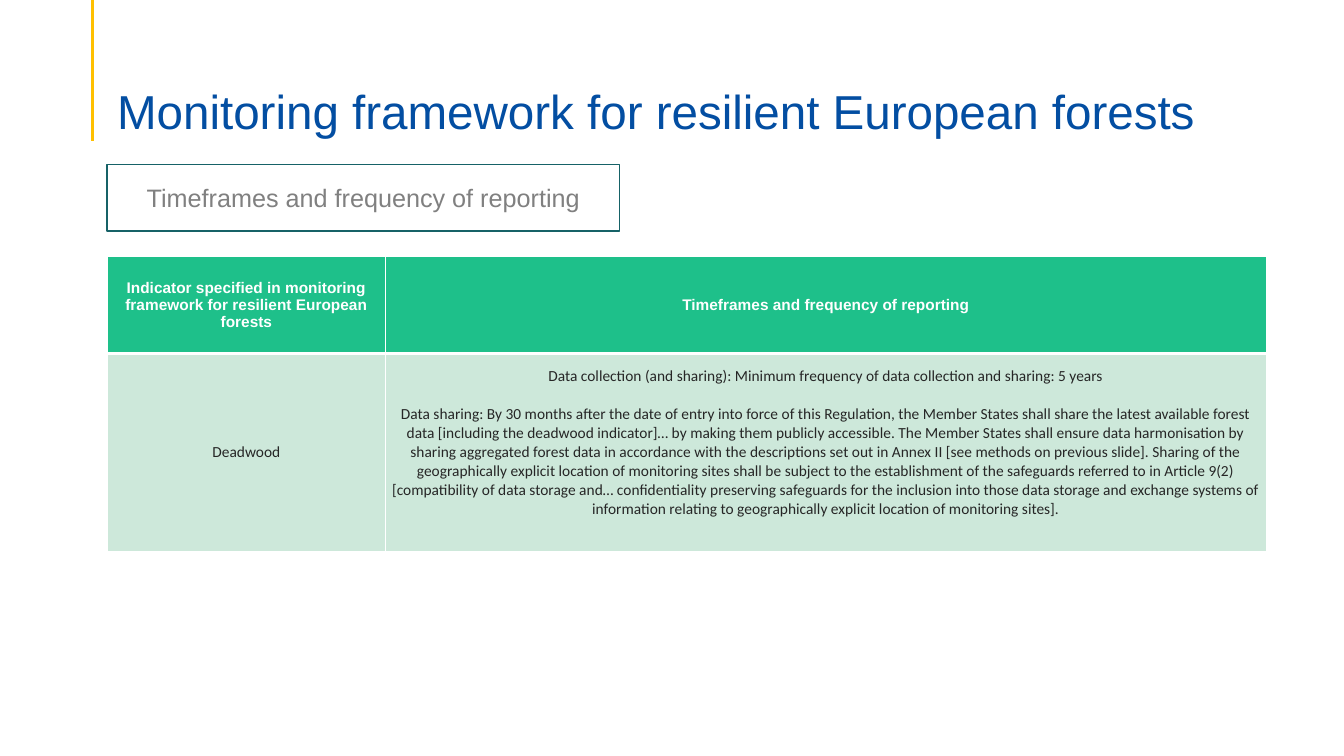
import dataclasses

import lxml.etree
import pptx
import pptx.dml.color
import pptx.enum.shapes
import pptx.enum.text
import pptx.oxml.ns
import pptx.util

Pt = pptx.util.Pt
ALIGN = pptx.enum.text.PP_ALIGN
ANCHOR = pptx.enum.text.MSO_ANCHOR


@dataclasses.dataclass(frozen=True)
class Theme:
    accent: str = "FFC000"
    title: str = "034EA2"
    white: str = "FFFFFF"
    heading: str = "808080"
    outline: str = "166267"
    header_fill: str = "1EC08A"
    body_fill: str = "CDE8DA"
    body: str = "262626"
    font: str = "Arial"
    body_font: str = "Calibri"
    title_size: float = 34
    heading_size: float = 18
    table_size: float = 11


THEME = Theme()
TITLE = "Monitoring framework for resilient European forests"
HEADING = "Timeframes and frequency of reporting"
COLLECTION = "Data collection (and sharing): Minimum frequency of data collection and sharing: 5 years"
SHARING = [
    "Data sharing: By 30 months after the date of entry into force of this Regulation, the Member "
    "States shall share the latest available forest data [including the deadwood indicator]… by "
    "making them publicly accessible.",
    "The Member States shall ensure data harmonisation by sharing aggregated forest data in "
    "accordance with the descriptions set out in Annex II [see methods on previous slide].",
    "Sharing of the geographically explicit location of monitoring sites shall be subject to the "
    "establishment of the safeguards referred to in Article 9(2) [compatibility of data storage "
    "and… confidentiality preserving safeguards for the inclusion into those data storage and "
    "exchange systems of information relating to geographically explicit location of monitoring "
    "sites].",
]
ROWS = [
    ["Indicator specified in monitoring framework for resilient European forests", HEADING],
    ["Deadwood", "\n".join([COLLECTION, " ".join(SHARING)])],
]


def rgb(color):
    return pptx.dml.color.RGBColor.from_string(color)


def paint(fill, color):
    fill.solid()
    fill.fore_color.rgb = rgb(color)


def set_margins(holder, left, top, right, bottom):
    holder.margin_left, holder.margin_top = Pt(left), Pt(top)
    holder.margin_right, holder.margin_bottom = Pt(right), Pt(bottom)


def style_text(frame, font, size, color, align, bold=False):
    for paragraph in frame.paragraphs:
        paragraph.alignment = align
        for run in paragraph.runs:
            run.font.name = font
            run.font.size = Pt(size)
            run.font.bold = bold
            run.font.color.rgb = rgb(color)


def set_borders(cell, color, widths):
    properties = cell._tc.get_or_add_tcPr()
    qn = pptx.oxml.ns.qn
    for side, width in zip("LRTB", widths):
        border = lxml.etree.SubElement(properties, qn(f"a:ln{side}"), w=str(Pt(width)))
        fill = lxml.etree.SubElement(border, qn("a:solidFill"))
        lxml.etree.SubElement(fill, qn("a:srgbClr"), val=color)


def add_accent_line(slide, x, top, height):
    accent = slide.shapes.add_connector(
        pptx.enum.shapes.MSO_CONNECTOR.STRAIGHT, Pt(x), Pt(top), Pt(x), Pt(top + height))
    accent.line.color.rgb = rgb(THEME.accent)
    accent.line.width = Pt(2.25)
    lxml.etree.SubElement(accent._element.spPr, pptx.oxml.ns.qn("a:effectLst"))


def add_title(slide, left, top, width, height):
    title = slide.shapes.title
    title.left, title.top, title.width, title.height = map(Pt, (left, top, width, height))
    frame = title.text_frame
    frame.text = TITLE
    frame.auto_size = pptx.enum.text.MSO_AUTO_SIZE.NONE
    frame.vertical_anchor = ANCHOR.BOTTOM
    set_margins(frame, 7.2, 3.6, 7.2, 0)
    frame.paragraphs[0].line_spacing = 0.9
    style_text(frame, THEME.font, THEME.title_size, THEME.title, ALIGN.LEFT)


def add_heading(slide, left, top, width, height):
    heading = slide.shapes.add_shape(
        pptx.enum.shapes.MSO_SHAPE.RECTANGLE, Pt(left), Pt(top), Pt(width), Pt(height))
    heading.shadow.inherit = False
    paint(heading.fill, THEME.white)
    heading.line.color.rgb = rgb(THEME.outline)
    heading.line.width = Pt(1)
    heading.text_frame.text = HEADING
    heading.text_frame.vertical_anchor = ANCHOR.MIDDLE
    style_text(heading.text_frame, THEME.font, THEME.heading_size, THEME.heading, ALIGN.CENTER)


def add_reporting_table(slide, left, top, width, height):
    indicator_width, header_height = 199, 69
    reporting = slide.shapes.add_table(
        len(ROWS), len(ROWS[0]), Pt(left), Pt(top), Pt(width), Pt(height)).table
    reporting.horz_banding = False
    for column, size in zip(reporting.columns, (indicator_width, width - indicator_width)):
        column.width = Pt(size)
    for row, size in zip(reporting.rows, (header_height, height - header_height)):
        row.height = Pt(size)
    looks = [
        (THEME.header_fill, THEME.font, THEME.white, True, (1, 1, 1, 3)),
        (THEME.body_fill, THEME.body_font, THEME.body, False, (1, 1, 3, 1)),
    ]
    for row, texts, (fill, font, color, bold, borders) in zip(reporting.rows, ROWS, looks):
        for cell, text in zip(row.cells, texts):
            cell.text_frame.text = text
            cell.vertical_anchor = ANCHOR.MIDDLE
            set_margins(cell, 2, 0, 2, 0)
            set_borders(cell, THEME.white, borders)
            paint(cell.fill, fill)
            style_text(cell.text_frame, font, THEME.table_size, color, ALIGN.CENTER, bold)
    timeframes = reporting.cell(1, 1)
    timeframes.margin_bottom = Pt(13.5)
    timeframes.text_frame.paragraphs[1].space_before = Pt(13.5)


def main():
    deck = pptx.Presentation()
    deck.slide_width, deck.slide_height = Pt(960), Pt(540)
    slide = deck.slides.add_slide(deck.slide_layouts[5])
    left, width = 76.5, 828
    add_accent_line(slide, 66, 0, 101)
    add_reporting_table(slide, left, 183.5, width, 210.5)
    add_heading(slide, left, 117.5, 366, 47.5)
    add_title(slide, left, 38, width, 62)
    deck.save("out.pptx")


if __name__ == "__main__":
    main()
